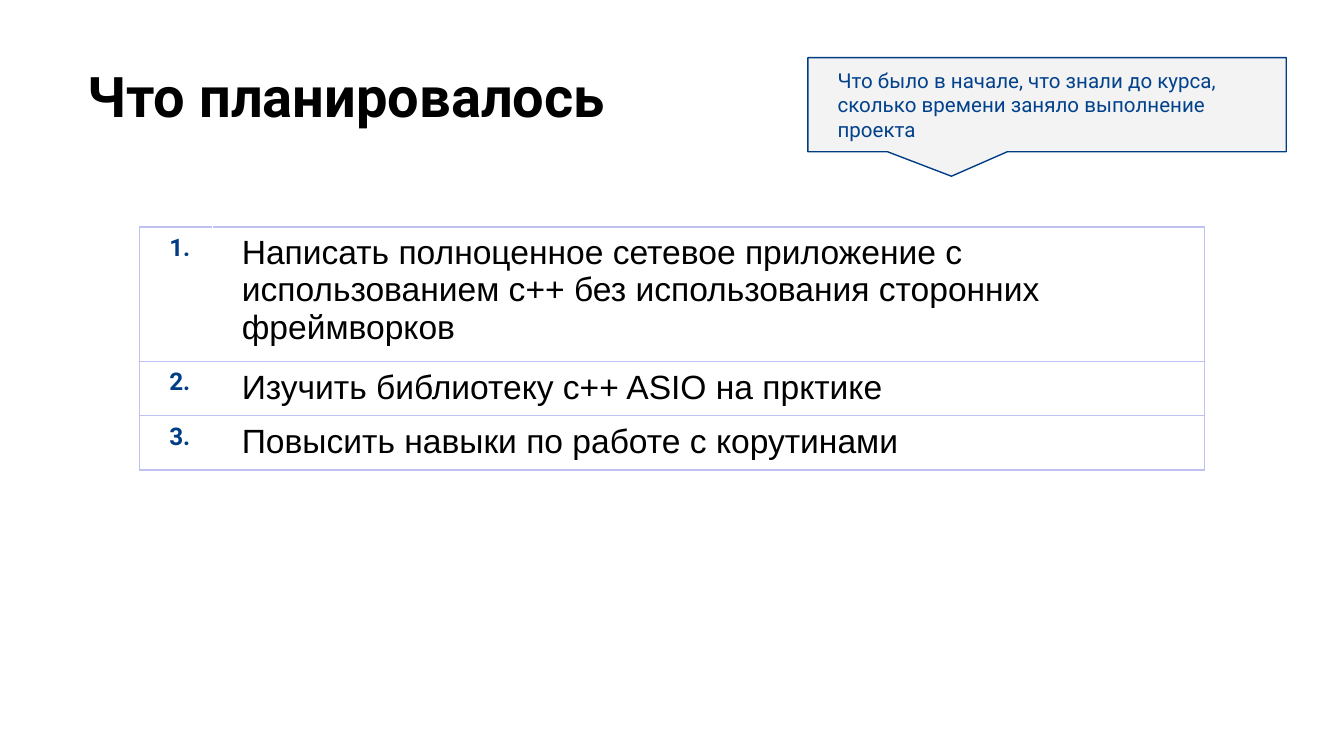
import pptx
import pptx.dml.color
import pptx.enum.shapes
import pptx.enum.text
import pptx.oxml
import pptx.oxml.ns
import pptx.util

Cm = pptx.util.Cm
Pt = pptx.util.Pt
RGBColor = pptx.dml.color.RGBColor
Anchor = pptx.enum.text.MSO_ANCHOR

BLACK = RGBColor(0x00, 0x00, 0x00)
WHITE = RGBColor(0xFF, 0xFF, 0xFF)
NAVY = RGBColor(0x01, 0x3D, 0x85)
CALLOUT_TEXT = RGBColor(0x02, 0x41, 0x8B)
LIGHT_GREY = RGBColor(0xF3, 0xF3, 0xF3)
LILAC = RGBColor(0xBF, 0xC1, 0xF0)


class SlideBuilder:
    """Holds the slide and its style, and adds each kind of element."""

    heading_font = "Roboto"
    body_font = "Arial"
    line_width = Pt(0.75)

    def __init__(self, slide):
        self.slide = slide

    def set_text(self, text_frame, text, font, size, color, bold=False):
        text_frame.text = text
        for run in text_frame.paragraphs[0].runs:
            run.font.name = font
            run.font.size = Pt(size)
            run.font.bold = bold
            run.font.color.rgb = color

    def set_margins(self, target, left, top, right, bottom):
        target.margin_left, target.margin_top = Cm(left), Cm(top)
        target.margin_right, target.margin_bottom = Cm(right), Cm(bottom)

    def title(self, text, left, top, width, height):
        shape = self.slide.shapes.add_textbox(Cm(left), Cm(top), Cm(width), Cm(height))
        text_frame = shape.text_frame
        text_frame.word_wrap = True
        self.set_margins(text_frame, 0.25, 0.25, 0.25, 0.25)
        self.set_text(text_frame, text, self.heading_font, 30, BLACK, bold=True)

    def callout(self, text, left, top, width, height):
        shape = self.slide.shapes.add_shape(
            pptx.enum.shapes.MSO_SHAPE.RECTANGULAR_CALLOUT,
            Cm(left), Cm(top), Cm(width), Cm(height))
        shape.adjustments[0], shape.adjustments[1] = -0.2, 0.76
        shape.shadow.inherit = False
        shape.fill.solid()
        shape.fill.fore_color.rgb = LIGHT_GREY
        shape.line.color.rgb = NAVY
        shape.line.width = self.line_width
        text_frame = shape.text_frame
        text_frame.word_wrap = True
        text_frame.vertical_anchor = Anchor.MIDDLE
        self.set_margins(text_frame, 0.56, 0.36, 0.56, 0.36)
        self.set_text(text_frame, text, self.heading_font, 11, CALLOUT_TEXT)
        text_frame.paragraphs[0].alignment = pptx.enum.text.PP_ALIGN.LEFT

    def cell_borders(self, cell, left, right):
        properties = cell._tc.get_or_add_tcPr()
        sides = {"lnL": left, "lnR": right, "lnT": LILAC, "lnB": LILAC}
        for side, color in sides.items():
            properties.append(pptx.oxml.parse_xml(
                f'<a:{side} {pptx.oxml.ns.nsdecls("a")} w="{self.line_width}">'
                f'<a:solidFill><a:srgbClr val="{color}"/></a:solidFill></a:{side}>'))

    def numbered_table(self, items, left, top, column_widths, row_height):
        frame = self.slide.shapes.add_table(
            len(items), 2, Cm(left), Cm(top),
            Cm(sum(column_widths)), Cm(row_height * len(items)))
        table = frame.table
        table.first_row = table.horz_banding = False
        for column, width in zip(table.columns, column_widths):
            column.width = Cm(width)
        for index, item in enumerate(items):
            table.rows[index].height = Cm(row_height)
            number_cell, item_cell = table.rows[index].cells
            self.set_text(number_cell.text_frame, f"{index + 1}.",
                          self.heading_font, 13, NAVY, bold=True)
            self.set_text(item_cell.text_frame, item, self.body_font, 18, BLACK)
            self.cell_borders(number_cell, LILAC, WHITE)
            self.cell_borders(item_cell, WHITE, LILAC)
            for cell in (number_cell, item_cell):
                self.set_margins(cell, 0.56, 0.13, 0.25, 0.13)
                cell.fill.background()


def main():
    presentation = pptx.Presentation()
    presentation.slide_width = Cm(25.4)
    presentation.slide_height = Cm(14.29)
    slide = presentation.slides.add_slide(presentation.slide_layouts[6])
    builder = SlideBuilder(slide)

    # Title
    builder.title("Что планировалось", 1.4, 0.91, 23.67, 3.05)

    # Goals
    builder.numbered_table(
        ["Написать полноценное сетевое приложение с использованием c++ "
         "без использования сторонних фреймворков",
         "Изучить библиотеку c++ ASIO на прктике",
         "Повысить навыки по работе с корутинами"],
        2.64, 4.29, (1.37, 18.75), 0.79)

    # Hint
    builder.callout(
        "Что было в начале, что знали до курса, "
        "сколько времени заняло выполнение проекта",
        15.27, 1.09, 9.04, 1.78)

    presentation.save("out.pptx")


if __name__ == "__main__":
    main()
